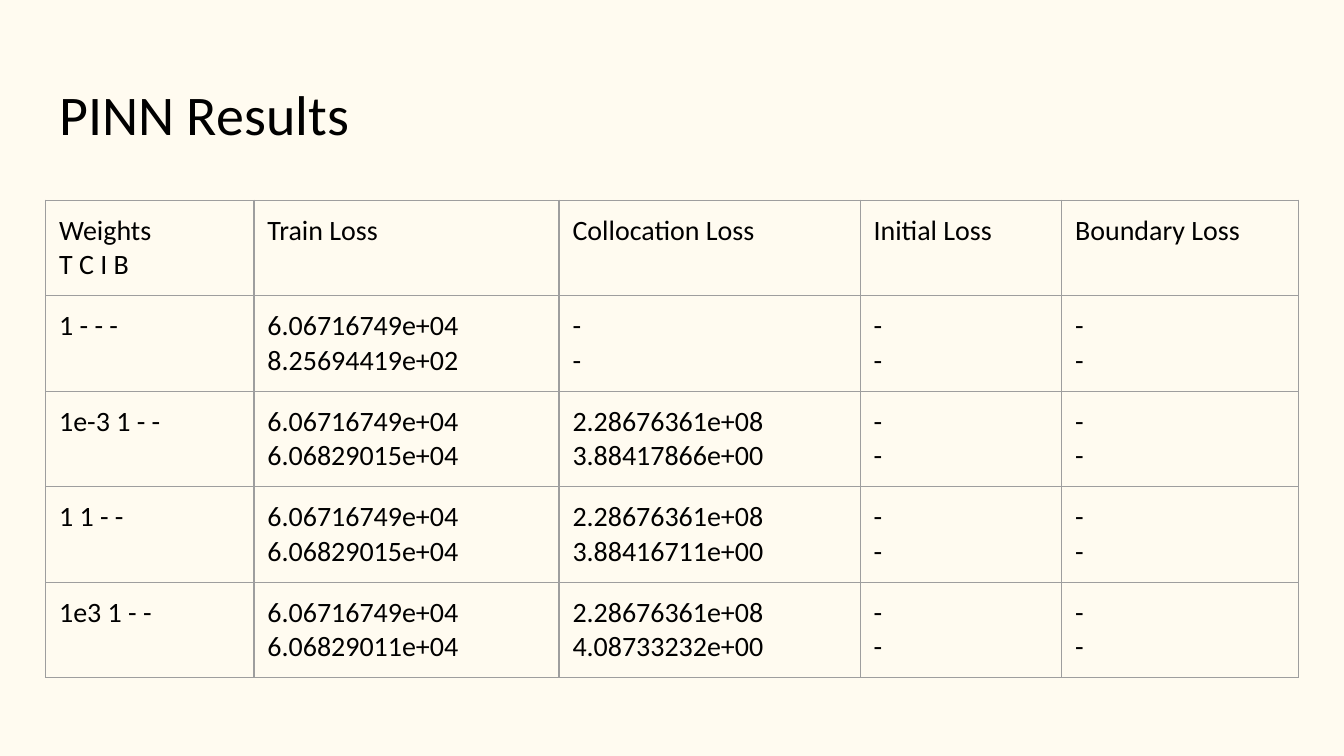
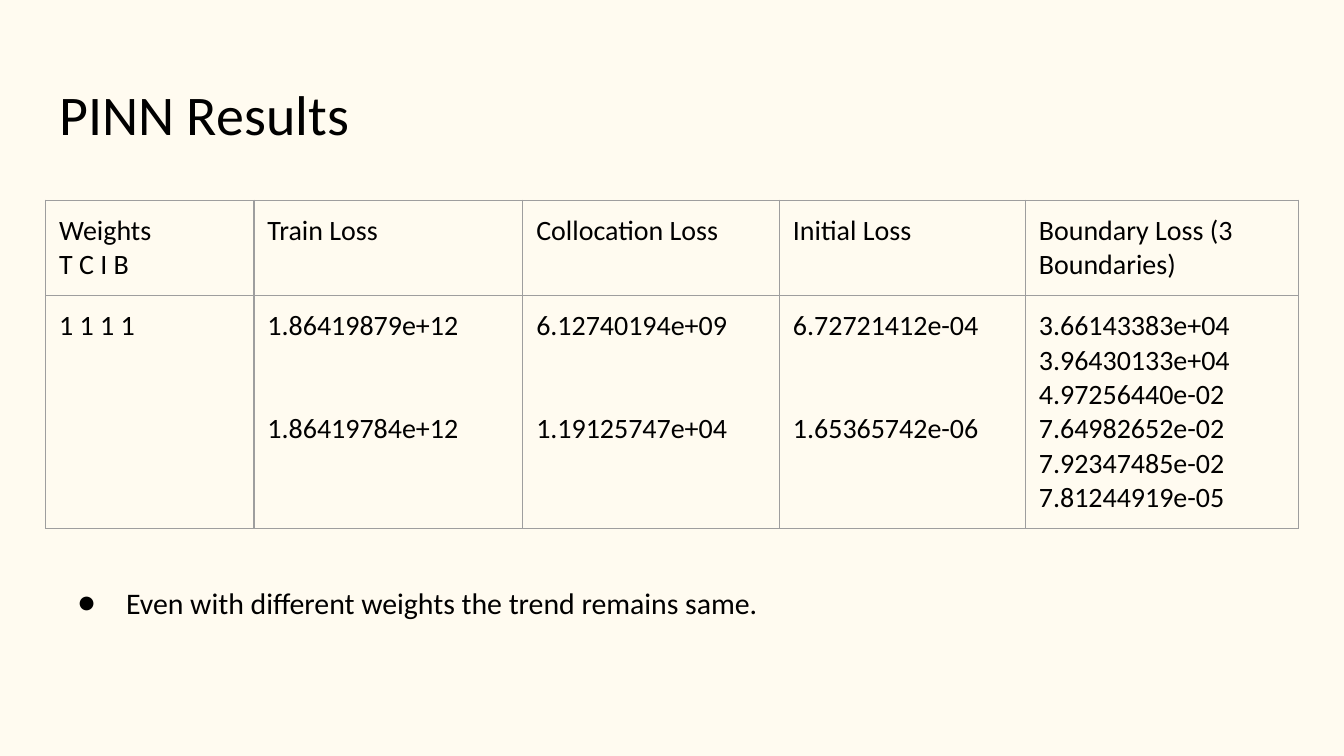
"""Build the two PINN results slides with their loss tables."""
import copy

import lxml.etree
import pptx
import pptx.dml.color
import pptx.enum.text
import pptx.oxml.ns
import pptx.util

Inches = pptx.util.Inches
Pt = pptx.util.Pt
RGBColor = pptx.dml.color.RGBColor
qn = pptx.oxml.ns.qn

CREAM = RGBColor(0xFF, 0xFB, 0xF0)
BLACK = RGBColor(0x00, 0x00, 0x00)
GREY = RGBColor(0x9E, 0x9E, 0x9E)
FONT = "Calibri"
LEFT = 0.34
INSET = 0.1
HEADINGS = ["Weights\vT C I B", "Train Loss", "Collocation Loss", "Initial Loss"]
NONE = "-\v-"


def write(tf, text, size=15, color=BLACK, gap=0, line_spacing=None):
    tf.text = text
    for i, p in enumerate(tf.paragraphs):
        p.alignment = pptx.enum.text.PP_ALIGN.LEFT
        p.space_before = Pt(gap if i else 0)
        if line_spacing:
            p.line_spacing = line_spacing
        for r in p.runs:
            r.font.name = FONT
            r.font.size = Pt(size)
            r.font.color.rgb = color
        for br in p._p.findall(qn("a:br")):
            br.insert(0, copy.deepcopy(p.runs[0]._r.find(qn("a:rPr"))))


class Deck:
    def __init__(self):
        self.prs = pptx.Presentation()
        self.prs.slide_width = Inches(10)
        self.prs.slide_height = Inches(10) * 9 // 16
        fill = self.prs.slide_master.background.fill
        fill.solid()
        fill.fore_color.rgb = CREAM
        self.s = None

    def frame(self, sp):
        tf = sp.text_frame
        tf.word_wrap = True
        tf.auto_size = pptx.enum.text.MSO_AUTO_SIZE.NONE
        tf.vertical_anchor = pptx.enum.text.MSO_ANCHOR.TOP
        tf.margin_left = tf.margin_right = Inches(INSET)
        tf.margin_top = tf.margin_bottom = Inches(INSET)
        return tf

    def slide(self, title):
        self.s = self.prs.slides.add_slide(self.prs.slide_layouts[5])
        sp = self.s.shapes.title
        sp.left, sp.top = Inches(LEFT), Inches(0.49)
        sp.width, sp.height = Inches(9.32), Inches(0.67)
        write(self.frame(sp), title, size=30)

    def borders(self, cell):
        tc_pr = cell._tc.get_or_add_tcPr()
        for side in ("lnL", "lnR", "lnT", "lnB"):
            ln = lxml.etree.SubElement(tc_pr, qn("a:" + side), w=str(Pt(0.75)))
            solid = lxml.etree.SubElement(ln, qn("a:solidFill"))
            lxml.etree.SubElement(solid, qn("a:srgbClr"), val=str(GREY))

    def table(self, widths, heights, rows, gap=0):
        sp = self.s.shapes.add_table(
            len(rows), len(widths), Inches(LEFT), Inches(1.49),
            Inches(sum(widths)), Inches(sum(heights)))
        table = sp.table
        table.first_row = table.horz_banding = False
        for col, width in zip(table.columns, widths):
            col.width = Inches(width)
        for row, height, texts in zip(table.rows, heights, rows):
            row.height = Inches(height)
            for cell, text in zip(row.cells, texts):
                cell.margin_left = cell.margin_right = Inches(INSET)
                cell.margin_top = cell.margin_bottom = Inches(INSET)
                self.borders(cell)
                cell.fill.background()
                write(cell.text_frame, text, gap=gap)

    def bullet(self, text, top):
        sp = self.s.shapes.add_textbox(
            Inches(LEFT), Inches(top), Inches(8.9), Inches(0.67))
        tf = self.frame(sp)
        write(tf, text, size=16, line_spacing=1.15)
        p_pr = tf.paragraphs[0]._p.get_or_add_pPr()
        p_pr.set("marL", str(Inches(0.5)))
        p_pr.set("indent", str(-Inches(0.36)))
        color = lxml.etree.SubElement(p_pr, qn("a:buClr"))
        lxml.etree.SubElement(color, qn("a:srgbClr"), val=str(BLACK))
        lxml.etree.SubElement(p_pr, qn("a:buFont"), typeface=FONT)
        lxml.etree.SubElement(p_pr, qn("a:buChar"), char="●")


def main():
    deck = Deck()

    deck.slide("PINN Results")
    deck.table([1.55, 2.27, 2.24, 1.5, 1.76], [0.71] * 5, [
        HEADINGS + ["Boundary Loss"],
        ["1 - - -", "6.06716749e+04\v8.25694419e+02", NONE, NONE, NONE],
        ["1e-3 1 - -", "6.06716749e+04\v6.06829015e+04",
         "2.28676361e+08\v3.88417866e+00", NONE, NONE],
        ["1 1 - -", "6.06716749e+04\v6.06829015e+04",
         "2.28676361e+08\v3.88416711e+00", NONE, NONE],
        ["1e3 1 - -", "6.06716749e+04\v6.06829011e+04",
         "2.28676361e+08\v4.08733232e+00", NONE, NONE],
    ])

    deck.slide("PINN Results")
    deck.table([1.55, 2, 1.91, 1.83, 2.03], [0.71, 1.73], [
        HEADINGS + ["Boundary Loss (3 Boundaries)"],
        ["1 1 1 1", "1.86419879e+12\n1.86419784e+12",
         "6.12740194e+09\n1.19125747e+04",
         "6.72721412e-04\n1.65365742e-06",
         "3.66143383e+04\v3.96430133e+04\v4.97256440e-02\v"
         "7.64982652e-02\v7.92347485e-02\v7.81244919e-05"],
    ], gap=36.6)
    deck.bullet("Even with different weights the trend remains same.", 4.21)

    deck.prs.save("out.pptx")


if __name__ == "__main__":
    main()
